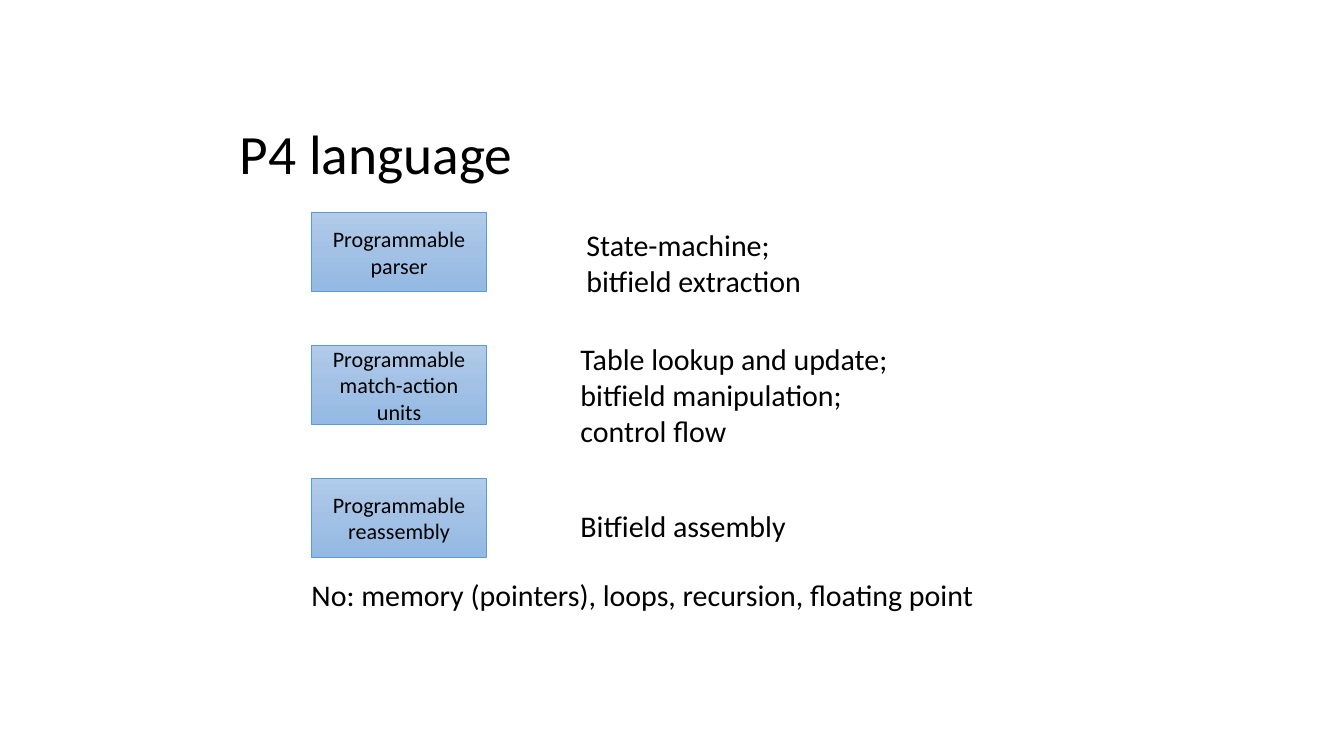
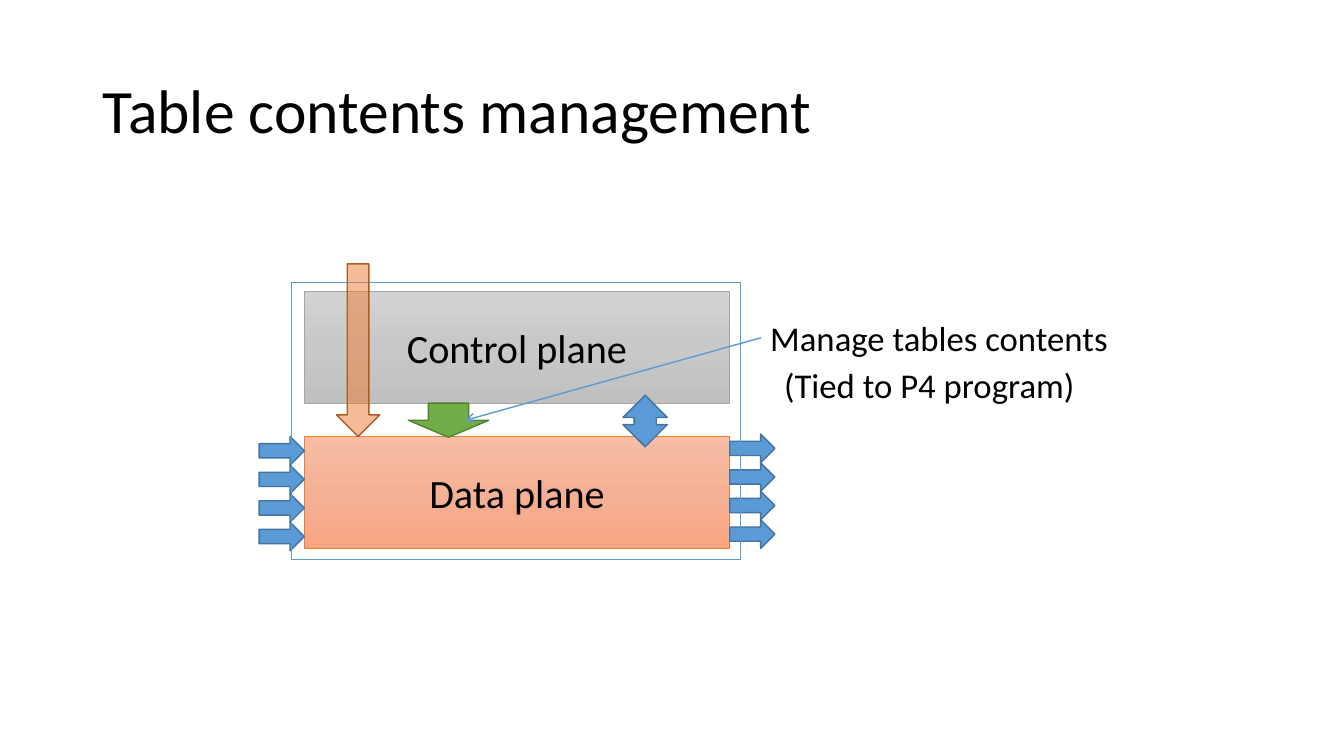
import copy
import dataclasses

import pptx
import pptx.dml.color
import pptx.enum.dml
import pptx.enum.shapes
import pptx.enum.text
import pptx.oxml
import pptx.oxml.ns
import pptx.util

Cm = pptx.util.Cm
Pt = pptx.util.Pt
qn = pptx.oxml.ns.qn
Kind = pptx.enum.shapes.MSO_SHAPE
Align = pptx.enum.text.PP_ALIGN
Anchor = pptx.enum.text.MSO_ANCHOR
Fit = pptx.enum.text.MSO_AUTO_SIZE


@dataclasses.dataclass(frozen=True)
class Theme:
    face: str = "Calibri"
    ink: str = "000000"
    blue: str = "5B9BD5"
    navy: str = "43739E"
    green: str = "70AD47"
    moss: str = "538035"
    orange: str = "ED7D31"
    rust: str = "AF5C24"
    gray: str = "A5A5A5"
    # Gradients run from top to bottom
    sky: tuple = ("B1CBE9", "A3C1E5", "93B9E4")
    ash: tuple = ("D2D2D2", "C8C8C8", "C0C0C0")
    peach: tuple = ("F7BDA5", "F5B196", "F8A582")
    # Type sizes
    head: float = 44
    small_head: float = 39.6
    plane: float = 28.7
    note: float = 24.8
    body: float = 21.4
    label: float = 15.8
    # Line widths
    thin: float = 0.5
    edge: float = 1


def rgb(code):
    return pptx.dml.color.RGBColor.from_string(code)


class Deck:
    def __init__(self, theme):
        self.theme = theme
        self.file = pptx.Presentation()
        self.file.slide_width = Cm(33.87)
        self.file.slide_height = Cm(19.05)
        self.slide = None

    def style(self, frame, text, size, align):
        frame.text = text
        for para in frame.paragraphs:
            para.alignment = align
            para.font.name = self.theme.face
            para.font.size = Pt(size)
            para.font.color.rgb = rgb(self.theme.ink)

    def inset(self, frame):
        frame.margin_left = frame.margin_right = Cm(0.23)
        frame.margin_top = frame.margin_bottom = Cm(0.11)

    def page(self, text, size, *spot):
        """Start a slide and set its title."""
        self.slide = self.file.slides.add_slide(self.file.slide_layouts[5])
        title = self.slide.shapes.title
        title.left, title.top, title.width, title.height = map(Cm, spot)
        frame = title.text_frame
        self.style(frame, text, size, Align.LEFT)
        frame.vertical_anchor = Anchor.MIDDLE
        frame.auto_size = Fit.NONE
        frame.paragraphs[0].line_spacing = 0.9

    def shape(self, kind, spot, line, width, fill=None):
        item = self.slide.shapes.add_shape(kind, *map(Cm, spot))
        item.shadow.inherit = False
        item.line.color.rgb = rgb(line)
        item.line.width = Pt(width)
        if fill:
            item.fill.solid()
            item.fill.fore_color.rgb = rgb(fill)
        else:
            item.fill.background()
        return item

    def box(self, text, size, spot, line, shades):
        """Rectangle with a three-step gradient and centred text."""
        item = self.shape(Kind.RECTANGLE, spot, line, self.theme.thin)
        item.fill.gradient()
        item.fill.gradient_angle = 270
        steps = item.element.spPr.find(qn("a:gradFill")).find(qn("a:gsLst"))
        steps.insert(1, copy.deepcopy(steps[0]))
        for i, (stop, shade) in enumerate(zip(item.fill.gradient_stops, shades)):
            stop.position = i / 2
            stop.color.rgb = rgb(shade)
        frame = item.text_frame
        self.inset(frame)
        frame.vertical_anchor = Anchor.MIDDLE
        self.style(frame, text, size, Align.CENTER)

    def arrow(self, kind, spot, fill, line, alpha=None):
        item = self.shape(kind, spot, line, self.theme.edge, fill)
        if alpha:
            tint = item.element.spPr.find(qn("a:solidFill"))[0]
            tint.append(pptx.oxml.parse_xml(
                f'<a:alpha {pptx.oxml.ns.nsdecls("a")} val="{alpha * 1000}"/>'))

    def text(self, text, size, spot, wrap=False):
        frame = self.slide.shapes.add_textbox(*map(Cm, spot)).text_frame
        self.inset(frame)
        frame.word_wrap = wrap
        frame.auto_size = Fit.SHAPE_TO_FIT_TEXT
        self.style(frame, text, size, Align.LEFT)

    def link(self, spot, color):
        """Straight line with an open arrowhead at its end."""
        item = self.slide.shapes.add_connector(
            pptx.enum.shapes.MSO_CONNECTOR.STRAIGHT, *map(Cm, spot))
        item.line.color.rgb = rgb(color)
        item.line.width = Pt(self.theme.edge)
        names = pptx.oxml.ns.nsdecls("a")
        props = item.element.spPr
        props.find(qn("a:ln")).append(
            pptx.oxml.parse_xml(f'<a:tailEnd {names} type="arrow"/>'))
        props.append(pptx.oxml.parse_xml(f"<a:effectLst {names}/>"))


def language(deck):
    look = deck.theme
    deck.page("P4 language", look.small_head, 5.79, 3.28, 22.3, 1.32)

    # Stages, one below the other
    stages = ("parser", "match-action\nunits", "reassembly")
    for i, stage in enumerate(stages):
        deck.box(f"Programmable\n{stage}", look.label,
                 (7.85, 5.36 + 3.35 * i, 4.42, 1.98), look.blue, look.sky)

    # What each stage does, and what is missing
    notes = (
        ("State-machine;\nbitfield extraction", (14.55, 5.61, 5.94, 2.06)),
        ("Table lookup and update;\nbitfield manipulation;\ncontrol flow",
         (14.4, 8.48, 8.28, 2.97)),
        ("Bitfield assembly", (14.4, 12.67, 5.69, 1.14)),
        ("No: memory (pointers), loops, recursion, floating point",
         (7.62, 14.43, 17.32, 1.14)),
    )
    for text, spot in notes:
        deck.text(text, look.body, spot)


def tables(deck):
    look = deck.theme
    deck.page("Table contents management", look.head, 2.34, 1.02, 29.21, 3.68)

    # Planes
    deck.box("Control plane", look.plane, (7.67, 7.34, 10.72, 2.82),
             look.gray, look.ash)
    deck.box("Data plane", look.plane, (7.67, 11, 10.72, 2.82),
             look.orange, look.peach)

    # Ports in and out
    for left, top in ((6.53, 11), (18.39, 10.94)):
        for i in range(4):
            deck.arrow(Kind.RIGHT_ARROW, (left, top + 0.72 * i, 1.14, 0.72),
                       look.blue, look.navy)

    # Flows around the control plane, inside the device frame
    deck.arrow(Kind.DOWN_ARROW, (10.29, 10.16, 2.03, 0.86),
               look.green, look.moss)
    deck.shape(Kind.RECTANGLE, (7.35, 7.11, 11.3, 6.99), look.blue, look.thin)
    deck.arrow(Kind.DOWN_ARROW, (8.48, 6.65, 1.09, 4.35),
               look.orange, look.rust, alpha=50)

    # Callout
    deck.text("Manage tables contents", look.note, (19.18, 7.87, 9.02, 1.3))
    deck.link((19.18, 8.51, 11.73, 10.59), look.blue)
    deck.text("(Tied to P4 program)", look.note, (19.53, 9.07, 9.35, 1.3),
              wrap=True)
    deck.arrow(Kind.UP_DOWN_ARROW, (15.7, 9.96, 1.12, 1.3),
               look.blue, look.navy)


def main():
    deck = Deck(Theme())
    language(deck)
    tables(deck)
    deck.file.save("out.pptx")


if __name__ == "__main__":
    main()
